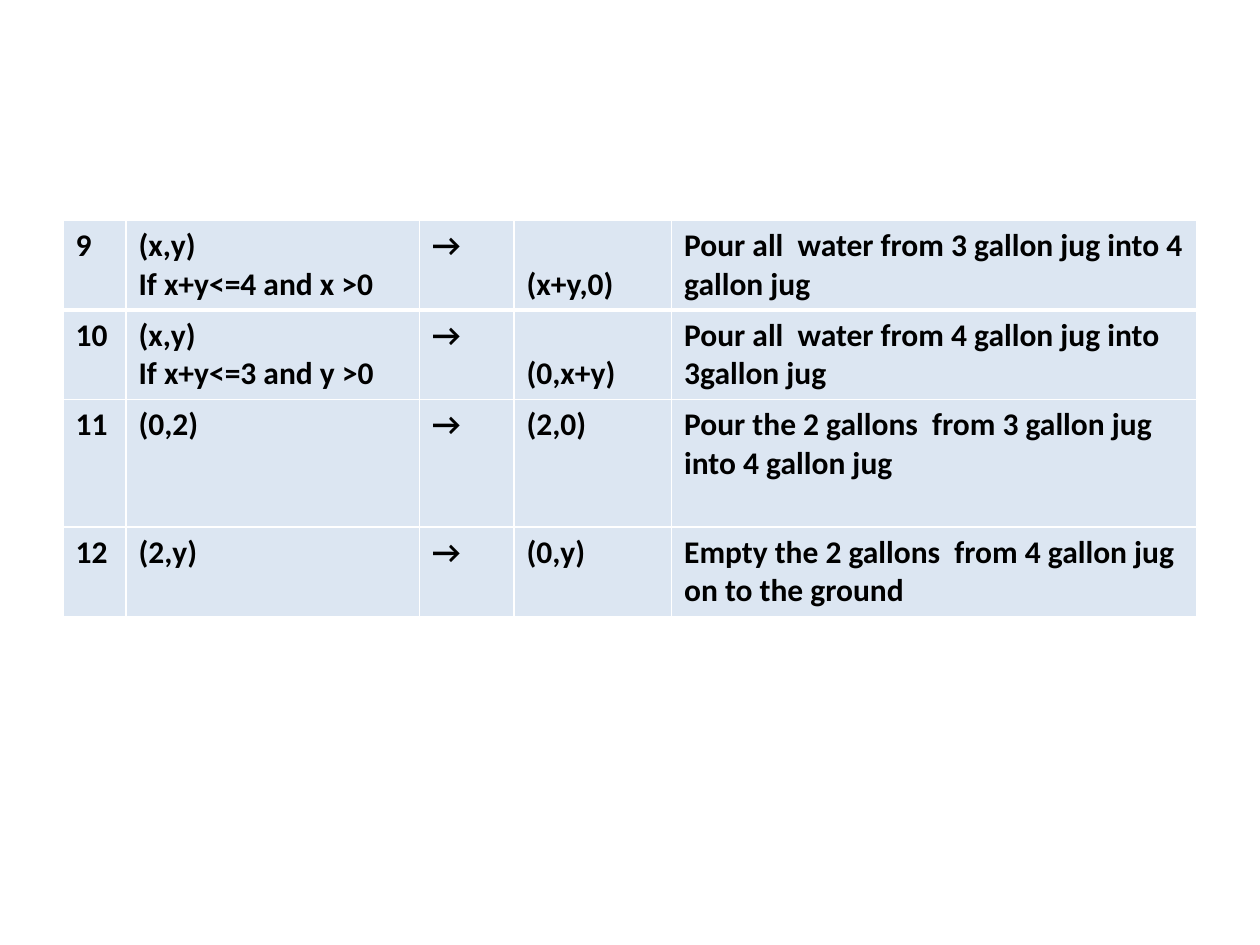
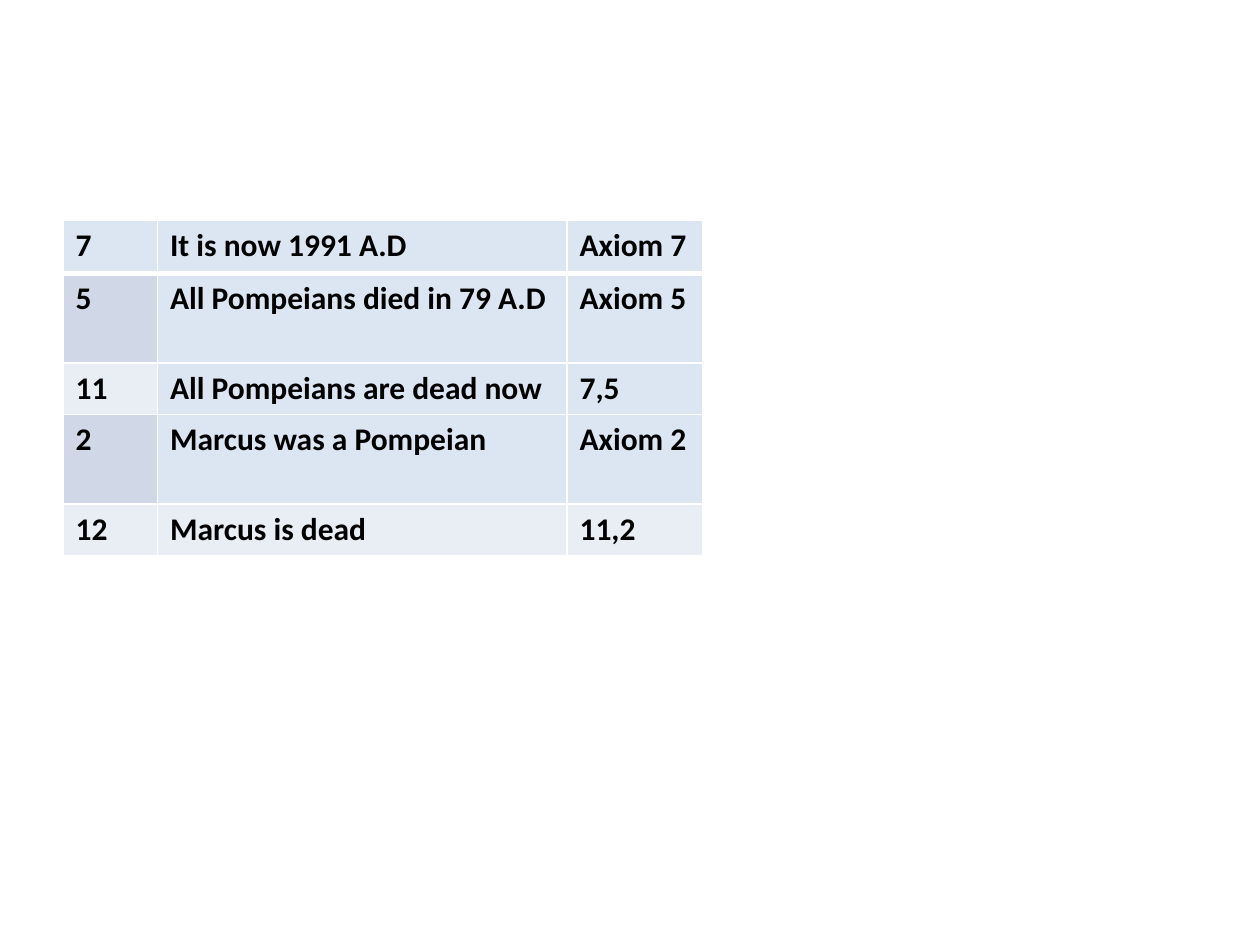
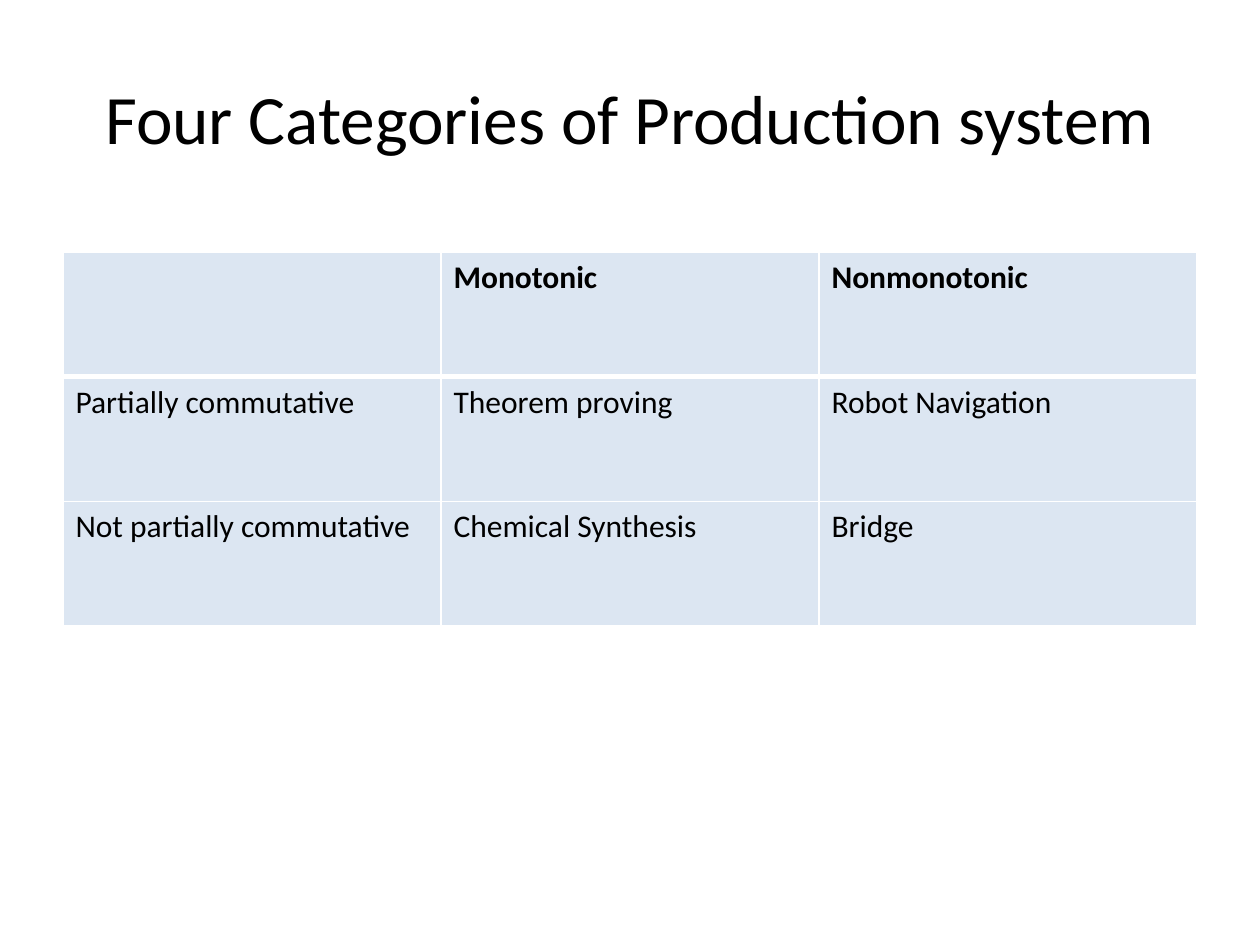
from lxml import etree
from pptx import Presentation
from pptx.dml.color import RGBColor
from pptx.enum.text import MSO_ANCHOR, PP_ALIGN
from pptx.oxml.ns import qn
from pptx.util import Inches, Pt

TOP, MIDDLE, BOTTOM = MSO_ANCHOR.TOP, MSO_ANCHOR.MIDDLE, MSO_ANCHOR.BOTTOM
LEFT, CENTER = PP_ALIGN.LEFT, PP_ALIGN.CENTER

THEME = {
    "font": "Calibri", "title": 39.6, "body": 18,
    "ink": "000000", "line": "FFFFFF",
    "pale": "DCE6F2", "odd": "D0D8E8", "even": "E9EDF4",
    "thin": 1, "thick": 3,
}
EDGE = 0.5

# Content: "fills" and "low" (text at the cell's foot) are keyed by (row, column)
SLIDES = [
    {
        "top": 1.75,
        "cols": [0.5, 2.33, 0.75, 1.25, 4.17],
        "rows": [0.71, 0.71, 1.01, 0.71],
        "bold": 4,
        "low": {(0, 3), (1, 3)},
        "cells": [
            ["9", "(x,y)\nIf x+y<=4 and x >0", "→", "(x+y,0)",
             "Pour all  water from 3 gallon jug into 4 gallon jug"],
            ["10", "(x,y)\nIf x+y<=3 and y >0", "→", "(0,x+y)",
             "Pour all  water from 4 gallon jug into 3gallon jug"],
            ["11", "(0,2)", "→", "(2,0)",
             "Pour the 2 gallons  from 3 gallon jug into 4 gallon jug"],
            ["12", "(2,y)", "→", "(0,y)",
             "Empty the 2 gallons  from 4 gallon jug on to the ground"],
        ],
    },
    {
        "top": 1.75,
        "cols": [0.75, 3.25, 1.08],
        "rows": [0.42, 0.71, 0.41, 0.71, 0.41],
        "bold": 5,
        "fills": {(1, 0): "odd", (2, 0): "even", (3, 0): "odd",
                  (4, 0): "even", (4, 1): "even", (4, 2): "even"},
        "cells": [
            ["7", "It is now 1991 A.D", "Axiom 7"],
            ["5", "All Pompeians died in 79 A.D", "Axiom 5"],
            ["11", "All Pompeians are dead now", "7,5"],
            ["2", "Marcus was a Pompeian", "Axiom 2"],
            ["12", "Marcus is dead", "11,2"],
        ],
    },
    {
        "title": "Four Categories of Production system",
        "top": 2,
        "cols": [3] * 3,
        "rows": [0.99] * 3,
        "bold": 1,
        "cells": [
            ["", "Monotonic", "Nonmonotonic"],
            ["Partially commutative", "Theorem proving", "Robot Navigation"],
            ["Not partially commutative", "Chemical Synthesis", "Bridge"],
        ],
    },
]


def write(frame, text, size, bold=False, align=LEFT):
    """Put each line of text in its own paragraph."""
    for i, line in enumerate(text.split("\n")):
        para = frame.paragraphs[0] if i == 0 else frame.add_paragraph()
        para.alignment = align
        if not line:
            continue
        run = para.add_run()
        run.text = line
        font = run.font
        font.name, font.size, font.bold = THEME["font"], Pt(size), bold
        font.color.rgb = RGBColor.from_string(THEME["ink"])


def rule(cell, side, width):
    """Draw one border of a cell."""
    props = cell._tc.get_or_add_tcPr()
    line = etree.SubElement(props, qn("a:ln" + side), w=str(Pt(width)))
    fill = etree.SubElement(line, qn("a:solidFill"))
    etree.SubElement(fill, qn("a:srgbClr"), val=THEME["line"])


def add_title(slide, text):
    box = slide.shapes.add_textbox(
        Inches(EDGE), Inches(0.3), Inches(9), Inches(1.25))
    frame = box.text_frame
    frame.word_wrap = True
    frame.vertical_anchor = MIDDLE
    write(frame, text, THEME["title"], align=CENTER)


def add_grid(slide, data):
    cols, rows = data["cols"], data["rows"]
    frame = slide.shapes.add_table(
        len(rows), len(cols), Inches(EDGE), Inches(data["top"]),
        Inches(sum(cols)), Inches(sum(rows)))
    table = frame.table
    table.first_row = table.horz_banding = False
    for col, width in zip(table.columns, cols):
        col.width = Inches(width)
    for row, height in zip(table.rows, rows):
        row.height = Inches(height)

    for r, texts in enumerate(data["cells"]):
        for c, text in enumerate(texts):
            cell = table.cell(r, c)
            # The edge below the first row is thick; borders precede the fill
            for side in "LRTB":
                heavy = (r, side) in ((0, "B"), (1, "T"))
                rule(cell, side, THEME["thick" if heavy else "thin"])
            cell.fill.solid()
            tone = data.get("fills", {}).get((r, c), "pale")
            cell.fill.fore_color.rgb = RGBColor.from_string(THEME[tone])
            cell.vertical_anchor = BOTTOM if (r, c) in data.get("low", ()) else TOP
            write(cell.text_frame, text, THEME["body"], r < data["bold"])


def main():
    deck = Presentation()
    deck.slide_width, deck.slide_height = Inches(10), Inches(7.5)
    blank = deck.slide_layouts[6]
    for data in SLIDES:
        slide = deck.slides.add_slide(blank)
        if "title" in data:
            add_title(slide, data["title"])
        add_grid(slide, data)
    deck.save("out.pptx")


if __name__ == "__main__":
    main()
